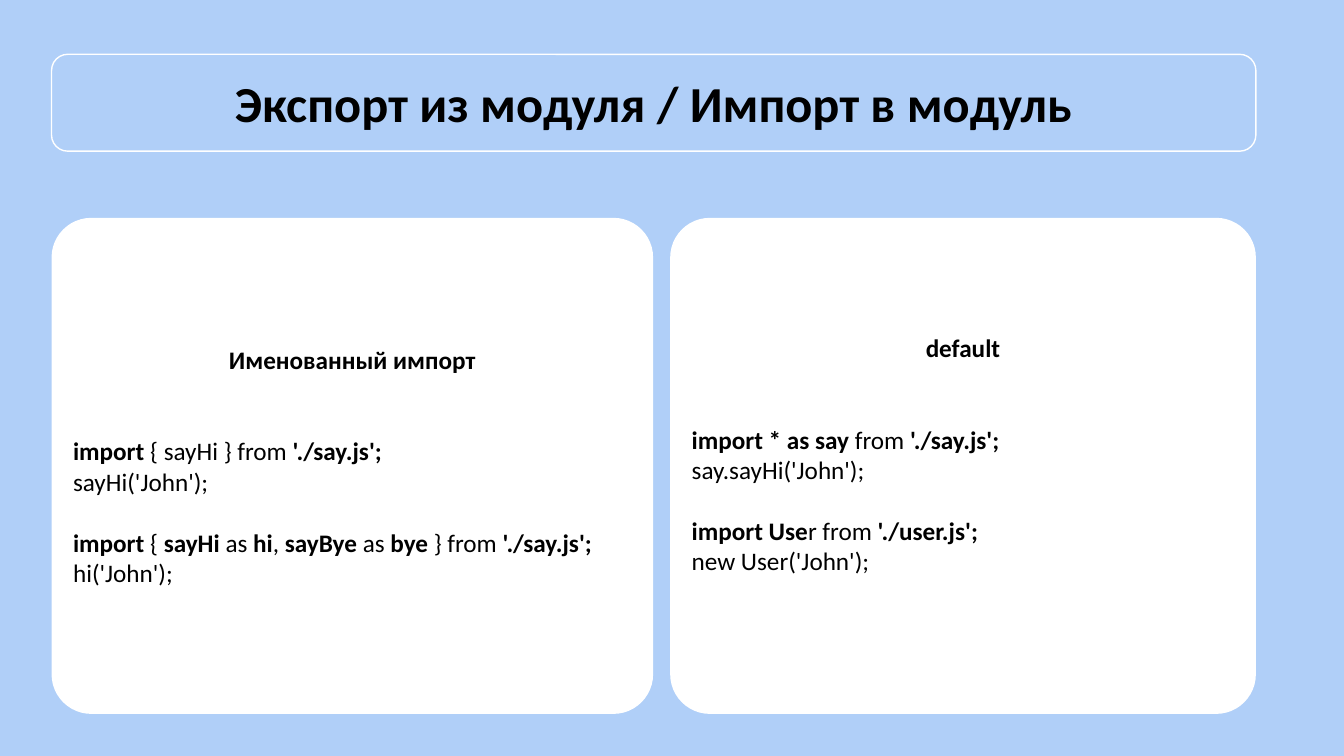
from pptx import Presentation
from pptx import util as u
from pptx.dml.color import RGBColor
from pptx.enum import shapes, text

SKY = RGBColor(0xB0, 0xCF, 0xF8)
WHITE = RGBColor(0xFF, 0xFF, 0xFF)
BLACK = RGBColor(0, 0, 0)
FONT = "Calibri"
CODE_SIZE = 18
CODE_LINE = 22

SLIDE_WIDTH, SLIDE_HEIGHT = 33.87, 19.05
MARGIN, CONTENT_WIDTH = 1.3, 30.35
TITLE_TOP, TITLE_HEIGHT = 1.37, 2.44
PANEL_TOP, PANEL_HEIGHT = 5.49, 12.5
NAMED_WIDTH, PANEL_GAP = 15.16, 0.43

# Each code line alternates bold and regular text, starting with bold.
NAMED_CODE = [
    [
        ("import ", "{ sayHi } from", " './say.js';"),
        ("", "sayHi('John');"),
    ],
    [
        ("import ", "{ ", "sayHi", " as ", "hi", ", ", "sayBye", " as ",
         "bye ", "} from ", "'./say.js';"),
        ("", "hi('John');"),
    ],
]
DEFAULT_CODE = [
    [
        ("import * as say", " from", " './say.js';"),
        ("", "say.sayHi('John');"),
    ],
    [
        ("import Use", "r from", " './user.js';"),
        ("", "new User('John');"),
    ],
]


def add_box(slide, kind, box, fill=None, outline=None):
    shape = slide.shapes.add_shape(kind, *(u.Cm(length) for length in box))
    shape.shadow.inherit = False
    if fill is None:
        shape.fill.background()
    else:
        shape.fill.solid()
        shape.fill.fore_color.rgb = fill
    if outline is None:
        shape.line.fill.background()
    else:
        shape.line.color.rgb = outline
        shape.line.width = u.Pt(1)
    shape.text_frame.word_wrap = True
    shape.text_frame.vertical_anchor = text.MSO_ANCHOR.MIDDLE
    return shape


def add_run(paragraph, words, size, bold):
    run = paragraph.add_run()
    run.text = words
    run.font.name = FONT
    run.font.size = u.Pt(size)
    run.font.bold = bold
    run.font.color.rgb = BLACK


def add_heading(frame, words, size):
    heading = frame.paragraphs[0]
    heading.alignment = text.PP_ALIGN.CENTER
    add_run(heading, words, size, True)


def add_title(slide, box, words):
    title = add_box(slide, shapes.MSO_SHAPE.ROUNDED_RECTANGLE, box, outline=WHITE)
    add_heading(title.text_frame, words, 36)


def add_code_panel(slide, box, heading, stanzas, bottom_inset=0.13):
    panel = add_box(slide, shapes.MSO_SHAPE.ROUNDED_RECTANGLE, box, fill=WHITE)
    panel.adjustments[0] = 0.08
    frame = panel.text_frame
    frame.margin_bottom = u.Cm(bottom_inset)
    add_heading(frame, heading, CODE_SIZE)
    for stanza_index, stanza in enumerate(stanzas):
        lines_above = 2 if stanza_index == 0 else 1
        for line_index, line in enumerate(stanza):
            code_line = frame.add_paragraph()
            code_line.alignment = text.PP_ALIGN.LEFT
            if line_index == 0:
                code_line.space_before = u.Pt(lines_above * CODE_LINE)
            for part_index, part in enumerate(line):
                if part:
                    add_run(code_line, part, CODE_SIZE, part_index % 2 == 0)


def main():
    deck = Presentation()
    deck.slide_width = u.Cm(SLIDE_WIDTH)
    deck.slide_height = u.Cm(SLIDE_HEIGHT)
    slide = deck.slides.add_slide(deck.slide_layouts[6])

    add_box(slide, shapes.MSO_SHAPE.RECTANGLE,
            (0, 0, SLIDE_WIDTH, SLIDE_HEIGHT), fill=SKY)
    add_code_panel(slide, (MARGIN, PANEL_TOP, NAMED_WIDTH, PANEL_HEIGHT),
                   "Именованный импорт", NAMED_CODE)
    add_title(slide, (MARGIN, TITLE_TOP, CONTENT_WIDTH, TITLE_HEIGHT),
              "Экспорт из модуля / Импорт в модуль")
    default_offset = NAMED_WIDTH + PANEL_GAP
    add_code_panel(slide, (MARGIN + default_offset, PANEL_TOP,
                           CONTENT_WIDTH - default_offset, PANEL_HEIGHT),
                   "default", DEFAULT_CODE, bottom_inset=0.73)

    deck.save("out.pptx")


if __name__ == "__main__":
    main()
